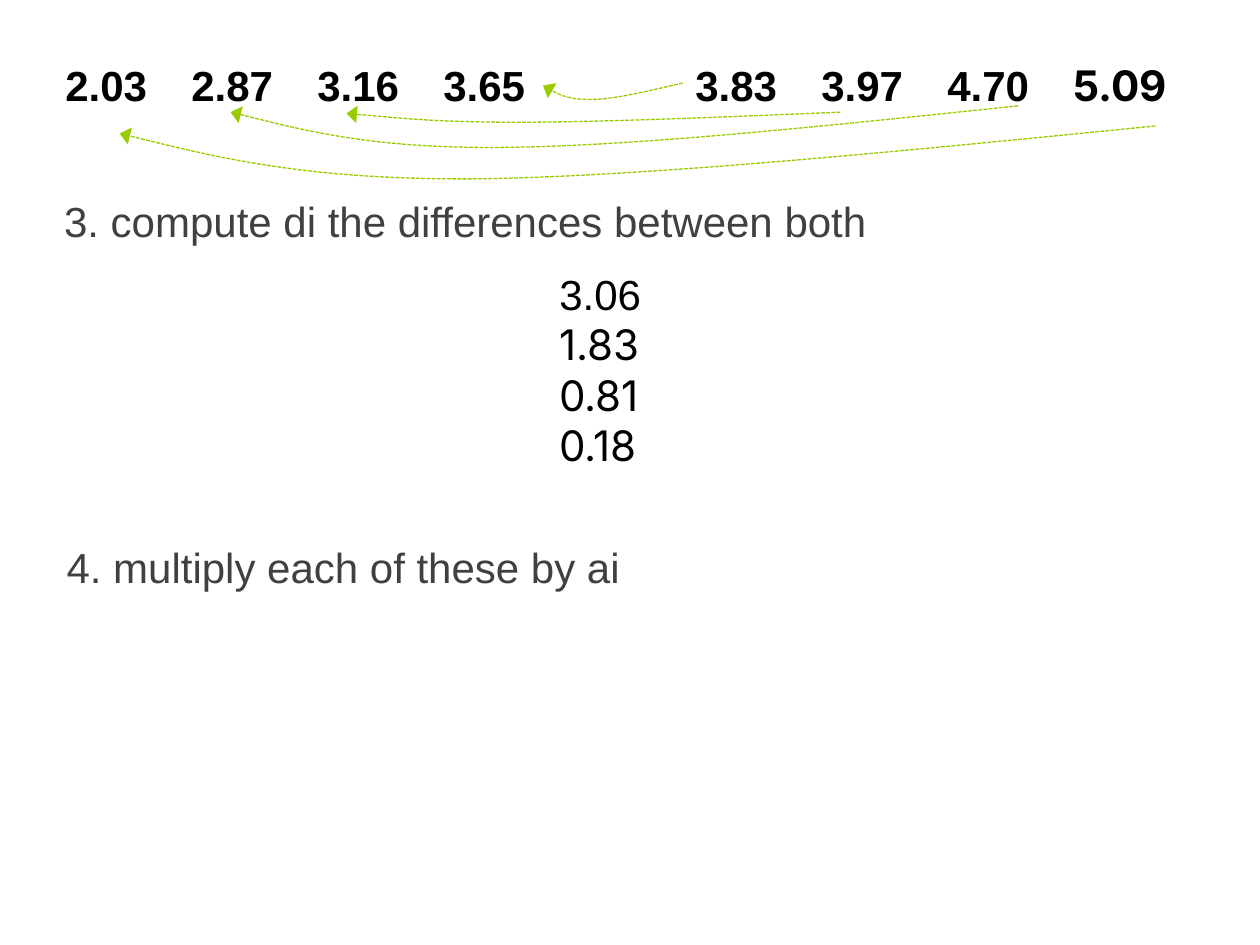
from pptx import Presentation, util as u
from pptx.dml.color import RGBColor
from pptx.enum import dml
from pptx.oxml.ns import qn
from lxml import etree

BLACK = RGBColor(0, 0, 0)
GREY = RGBColor(0x40, 0x40, 0x40)
GREEN = RGBColor(0x99, 0xCC, 0x00)

prs = Presentation()
prs.slide_width, prs.slide_height = u.Inches(10), u.Inches(7.5)
s = prs.slides.add_slide(prs.slide_layouts[6])


def add_text(box, paragraphs, color, bold=False, before=0):
    """Each paragraph is a list of (text, font name) runs."""
    tf = s.shapes.add_textbox(*map(u.Inches, box)).text_frame
    tf.word_wrap = True
    for i, runs in enumerate(paragraphs):
        p = tf.add_paragraph() if i else tf.paragraphs[0]
        if before:
            p.space_before = u.Pt(before)
        for words, font in runs:
            r = p.add_run()
            r.text = words
            r.font.name, r.font.size, r.font.bold = font, u.Pt(24), bold
            r.font.color.rgb = color
    return tf


def add_curve(points):
    """A dashed arrow: the start, then three points per Bezier segment."""
    start, *rest = [(u.Inches(x), u.Inches(y)) for x, y in points]
    fb = s.shapes.build_freeform(*start)
    fb.add_line_segments(rest, close=False)
    sp = fb.convert_to_shape()
    sp.shadow.inherit = False
    sp.fill.background()
    sp.line.color.rgb, sp.line.width = GREEN, u.Pt(0.75)
    sp.line.dash_style = dml.MSO_LINE.SQUARE_DOT
    etree.SubElement(sp.line._get_or_add_ln(), qn("a:tailEnd"),
                     type="triangle", w="lg", len="med")
    # Turn every three line steps into one cubic segment
    outline = next(sp._element.iter(qn("a:path")))
    steps = outline.findall(qn("a:lnTo"))
    for i in range(0, len(steps), 3):
        cubic = etree.SubElement(outline, qn("a:cubicBezTo"))
        for step in steps[i:i + 3]:
            cubic.append(step[0])
            outline.remove(step)


# Sorted values on one-inch tab stops, with one column left empty
values = "2.03\t2.87\t3.16\t3.65\t\t3.83\t3.97\t4.70\t"
tf = add_text((0.42, 0.42, 10.08, 0.5), [[(values, "Arial"), ("5.09", "Inter")]],
              BLACK, bold=True)
tabs = etree.SubElement(tf.paragraphs[0]._p.get_or_add_pPr(), qn("a:tabLst"))
for column in range(1, 9):
    etree.SubElement(tabs, qn("a:tab"), pos=str(u.Inches(column)), algn="l")

# Steps
for left, top, words in [(0.41, 1.5, "3. compute di the differences between both"),
                         (0.43, 4.25, "4. multiply each of these by ai")]:
    add_text((left, top, 8.92, 1.25), [[(words, "Arial")]], GREY, before=4.8)

# Differences
add_text((4.34, 2.08, 1.25, 2.12),
         [[("3.06", "Arial")]] + [[(d, "Inter")] for d in ("1.83", "0.81", "0.18")],
         BLACK)

# Arrows from each large value to its small partner
for points in [
    [(6.67, 0.89), (5.71, 0.93), (4.76, 0.97), (4.11, 0.97),
     (3.45, 0.97), (3.1, 0.93), (2.75, 0.9)],
    [(8.08, 0.84), (6.56, 1), (5.04, 1.16), (4, 1.17),
     (2.96, 1.18), (2.39, 1.03), (1.83, 0.89)],
    [(9.17, 1), (7.16, 1.2), (5.16, 1.4), (3.79, 1.42),
     (2.42, 1.43), (1.68, 1.24), (0.95, 1.06)],
    [(5.42, 0.66), (5.15, 0.72), (4.88, 0.79), (4.69, 0.79),
     (4.51, 0.79), (4.41, 0.74), (4.31, 0.68)],
]:
    add_curve(points)

prs.save("out.pptx")
